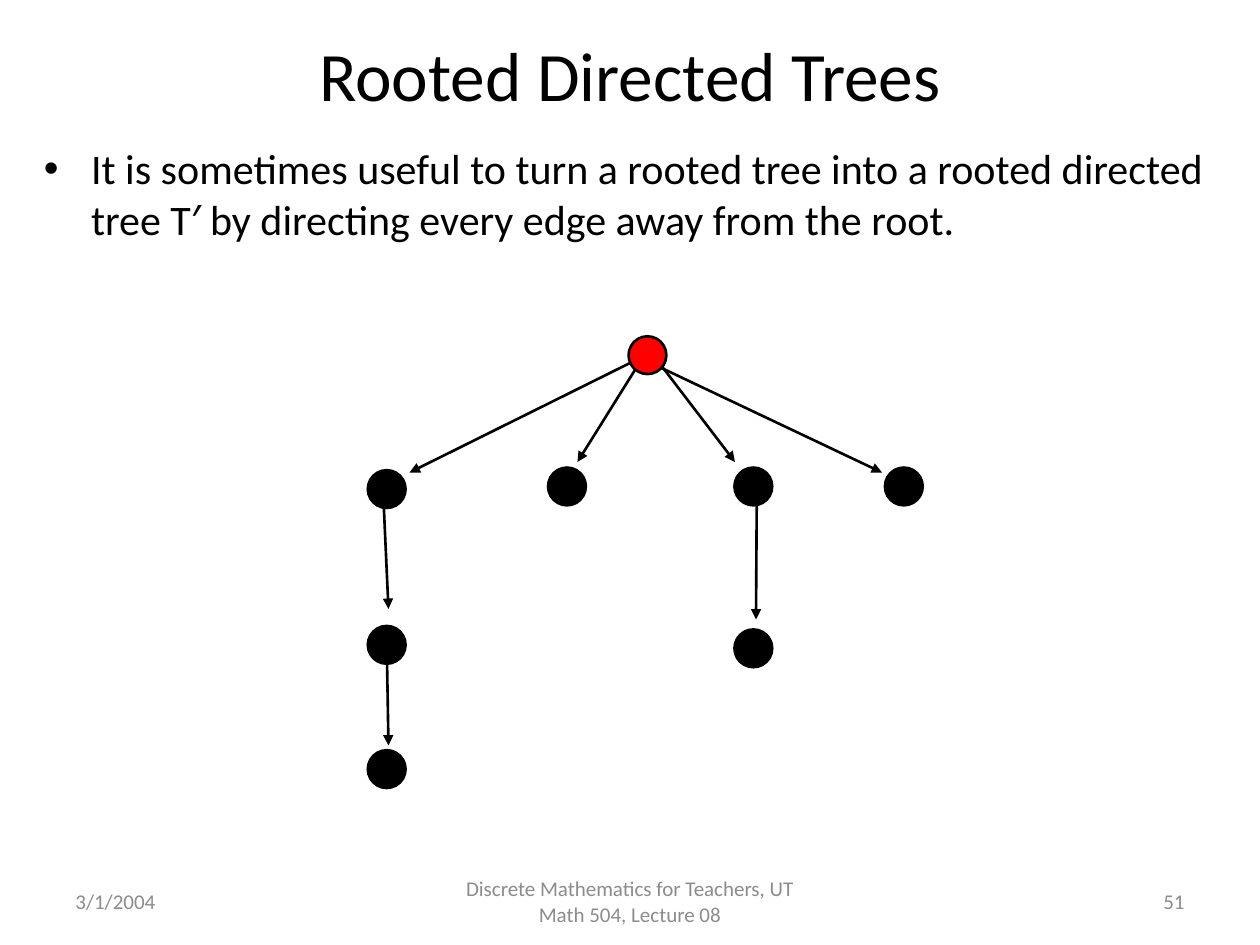
from typing import NamedTuple

from pptx import Presentation
from pptx.dml.color import RGBColor
from pptx.enum.shapes import MSO_CONNECTOR as Conn, MSO_SHAPE as Shape
from pptx.enum.text import MSO_ANCHOR as Anchor, PP_ALIGN as Align
from pptx.oxml.ns import qn
from pptx.util import Pt
from lxml.etree import SubElement

BLACK = RGBColor(0x00, 0x00, 0x00)
RED = RGBColor(0xFF, 0x00, 0x00)
GREY = RGBColor(0x8C, 0x8C, 0x8C)
FONT = "Calibri"
DIAMETER = 21.6
LINE_WIDTH = 1.5


class Node(NamedTuple):
    x: float  # centre
    y: float
    color: RGBColor = BLACK


class Edge(NamedTuple):
    x1: float
    y1: float
    x2: float
    y2: float


class Label(NamedTuple):
    text: str
    left: float
    top: float
    width: float
    height: float
    size: float
    color: RGBColor = BLACK
    align: Align = Align.LEFT
    anchor: Anchor = Anchor.MIDDLE


TITLE = Label("Rooted Directed Trees", 18, 18, 684, 48, 39.6, align=Align.CENTER)
BODY = Label("It is sometimes useful to turn a rooted tree into a rooted directed "
             "tree T′ by directing every edge away from the root.",
             18, 78, 684, 414, 24, anchor=Anchor.TOP)
FOOTERS = [
    Label("3/1/2004", 36, 500.5, 168, 28.8, 12, GREY),
    Label("Discrete Mathematics for Teachers, UT Math 504, Lecture 08",
          246, 500.5, 228, 28.8, 12, GREY, Align.CENTER),
    Label("51", 516, 500.5, 168, 28.8, 12, GREY, Align.RIGHT),
]

ROOT = Node(370, 203, RED)
DESCENDANTS = [
    Node(221, 279.5), Node(324, 278), Node(430.5, 278), Node(516.5, 278),
    Node(221, 368.5), Node(430.5, 370.5),
    Node(221, 439.5),
]
EDGES = [
    Edge(370, 202.5, 234, 270), Edge(370, 200, 330, 264),
    Edge(373, 202.5, 420, 264), Edge(370, 206.5, 504, 270),
    Edge(219, 282, 222, 348), Edge(432.5, 278, 432, 354),
    Edge(221, 368, 222, 426),
]


def add_label(s, label: Label):
    box = s.shapes.add_textbox(*map(Pt, label[1:5]))
    tf = box.text_frame
    tf.word_wrap = True
    tf.vertical_anchor = label.anchor
    p = tf.paragraphs[0]
    p.alignment = label.align
    r = p.add_run()
    r.text = label.text
    for name, value in {"name": FONT, "size": Pt(label.size)}.items():
        setattr(r.font, name, value)
    r.font.color.rgb = label.color
    return p


def add_bullet(p, indent: float) -> None:
    pPr = p._p.get_or_add_pPr()
    pPr.set("marL", str(Pt(indent)))
    pPr.set("indent", str(-Pt(indent)))
    SubElement(pPr, qn("a:buFont")).set("typeface", "Arial")
    SubElement(pPr, qn("a:buChar")).set("char", "•")


def add_node(s, node: Node) -> None:
    corner = (node.x - DIAMETER / 2, node.y - DIAMETER / 2)
    sp = s.shapes.add_shape(Shape.OVAL, *map(Pt, corner), Pt(DIAMETER), Pt(DIAMETER))
    sp.shadow.inherit = False
    sp.fill.solid()
    sp.fill.fore_color.rgb = node.color
    sp.line.color.rgb = BLACK
    sp.line.width = Pt(LINE_WIDTH)


def add_edge(s, edge: Edge) -> None:
    """Draw an arrow pointing away from the root."""
    cxn = s.shapes.add_connector(Conn.STRAIGHT, *map(Pt, edge))
    cxn.line.color.rgb = BLACK
    cxn.line.width = Pt(LINE_WIDTH)
    SubElement(cxn.line._get_or_add_ln(), qn("a:tailEnd")).set("type", "triangle")
    SubElement(cxn._element.spPr, qn("a:effectLst"))


def main() -> None:
    prs = Presentation()
    prs.slide_width, prs.slide_height = Pt(720), Pt(540)
    s = prs.slides.add_slide(prs.slide_layouts[6])

    for label in [*FOOTERS, TITLE]:
        add_label(s, label)
    p = add_label(s, BODY)
    p.space_before = Pt(4.8)
    add_bullet(p, 27)

    for node in DESCENDANTS:
        add_node(s, node)
    for edge in EDGES:
        add_edge(s, edge)
    add_node(s, ROOT)

    prs.save("out.pptx")


if __name__ == "__main__":
    main()
